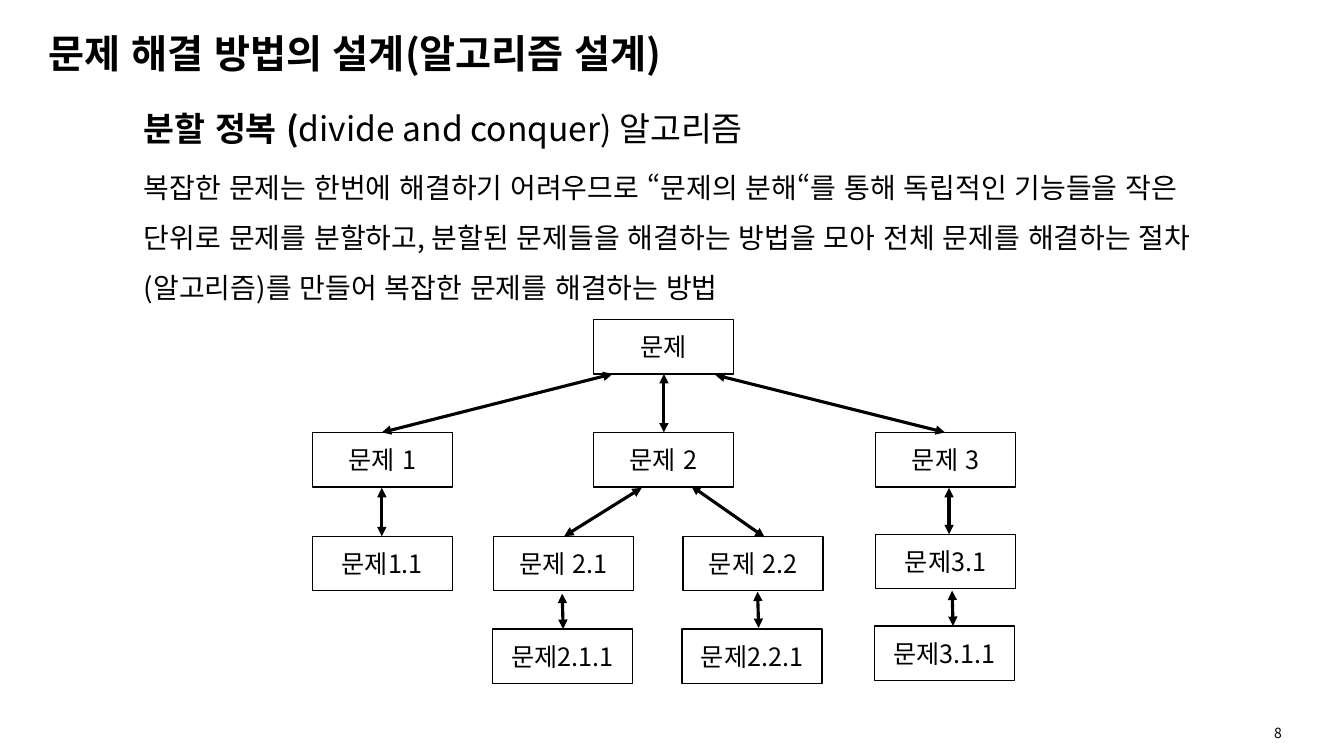
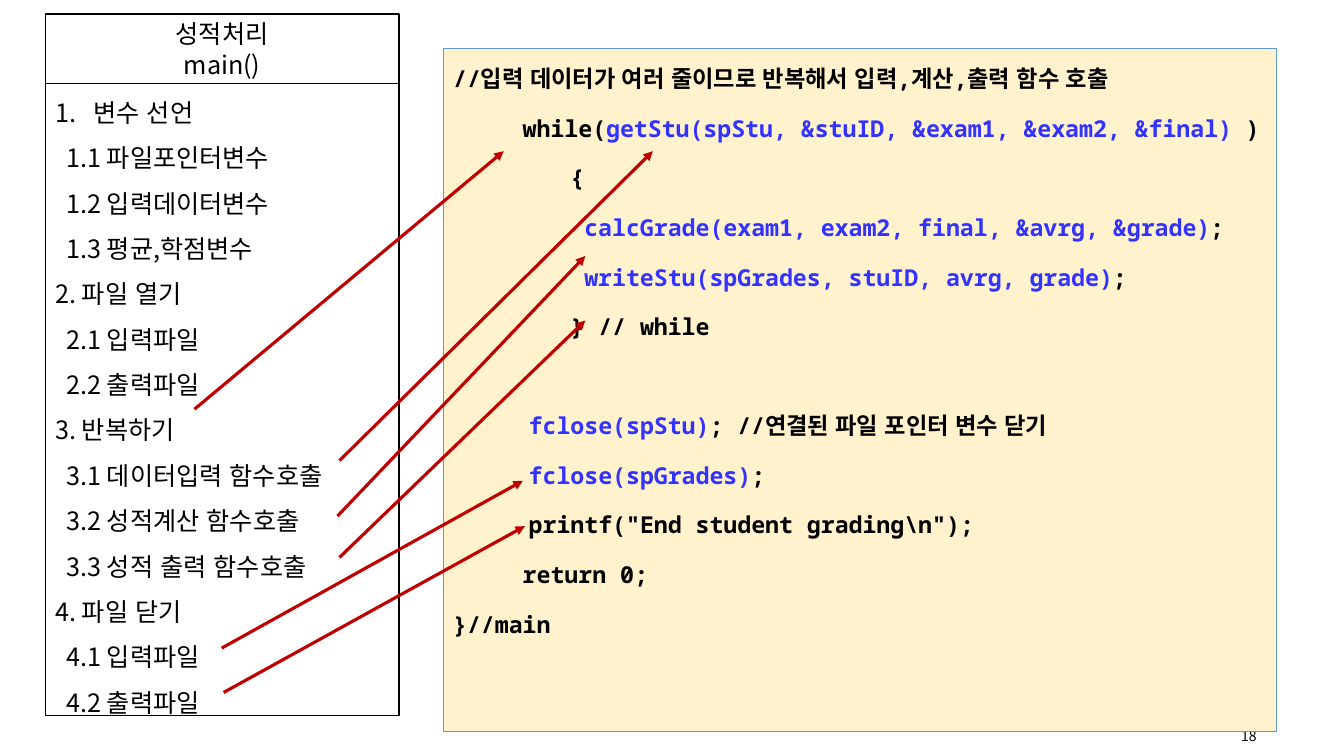
from pptx import Presentation
from pptx.dml.color import RGBColor
from pptx.enum.lang import MSO_LANGUAGE_ID
from pptx.enum.shapes import MSO_CONNECTOR, MSO_SHAPE
from pptx.enum.text import MSO_ANCHOR, PP_ALIGN
from pptx.oxml.ns import qn
from pptx.util import Pt
from lxml.etree import SubElement

PX = 9144
BLACK = RGBColor(0x00, 0x00, 0x00)
BLUE = RGBColor(0x33, 0x33, 0xFF)
RED = RGBColor(0xC0, 0x00, 0x00)
CREAM = RGBColor(0xFF, 0xF2, 0xCC)
EDGE = RGBColor(0x5B, 0x9B, 0xD5)
SANS = "Noto Sans CJK KR"
MONO = "Noto Sans Mono"
CENTER = {"align": PP_ALIGN.CENTER, "anchor": MSO_ANCHOR.MIDDLE}

NODES = [
    ("문제", 589, 317), ("문제 1", 310, 429), ("문제 2", 589, 429),
    ("문제 3", 869, 429), ("문제1.1", 310, 532), ("문제 2.1", 490, 532),
    ("문제 2.2", 678, 532), ("문제3.1", 869, 530), ("문제2.1.1", 489, 624),
    ("문제2.2.1", 677, 624), ("문제3.1.1", 868, 621),
]
LINKS = [
    (659, 371, 659, 429), (710, 372, 938, 429), (608, 371, 379, 429),
    (379, 484, 379, 532), (637, 484, 560, 532), (686, 482, 759, 533),
    (558, 589, 559, 624), (752, 587, 753, 623), (945, 586, 946, 621),
    (942, 484, 942, 530),
]
STEPS = [
    "1.1 파일포인터변수", "1.2 입력데이터변수", "1.3 평균,학점변수",
    "2. 파일 열기", "2.1 입력파일", "2.2 출력파일", "3. 반복하기",
    "3.1 데이터입력 함수호출", "3.2 성적계산 함수호출",
    "3.3 성적 출력 함수호출", "4. 파일 닫기", "4.1 입력파일", "4.2 출력파일",
]
LOOP = [
    (0, ["//입력 데이터가 여러 줄이므로 반복해서 입력,계산,출력 함수 호출"]),
    (0, ["     while(", "getStu(spStu, &stuID, &exam1, &exam2, &final) ",
         ")"]),
    (75, ["   {"]),
    (75, ["    ", "calcGrade(exam1, exam2, final, &avrg, &grade)", ";"]),
    (75, ["    ", "writeStu(spGrades, stuID, avrg, grade)", ";"]),
    (75, ["   } // while"]),
]
CLOSE = [
    (75, ["", "fclose(spStu)", "; //연결된 파일 포인터 변수 닫기"]),
    (75, ["", "fclose(spGrades)", ";"]),
    (75, ['printf("End student grading\\n");']),
    (0, ["     return 0;"]),
    (0, ["}//main"]),
]
CALLS = [
    (193, 406, 500, 150), (337, 457, 648, 150), (335, 512, 581, 254),
    (337, 553, 581, 318), (220, 643, 519, 477), (222, 687, 521, 522),
]


def write(shape, text, size=18, color=BLACK, bold=False, font=SANS,
          align=PP_ALIGN.LEFT, anchor=MSO_ANCHOR.TOP, lines=1.0, before=0,
          left=0, hang=0, number=False):
    """Add one paragraph of text, or of (text, changes) runs, to a shape."""
    frame = shape.text_frame
    frame.word_wrap = True
    frame.vertical_anchor = anchor
    para = frame.paragraphs[0]
    if para.runs:
        para = frame.add_paragraph()
        para.space_before = Pt(before)
    para.alignment = align
    para.line_spacing = lines
    props = para._p.get_or_add_pPr()
    props.set("marL", str(left * PX))
    props.set("indent", str(-hang * PX))
    if number:
        SubElement(props, qn("a:buFont"), typeface=SANS)
        SubElement(props, qn("a:buAutoNum"), type="arabicPeriod")
    for words, change in [(text, {})] if isinstance(text, str) else text:
        run = para.add_run()
        run.text = words
        run.font.size = Pt(size)
        run.font.bold = change.get("bold", bold)
        run.font.color.rgb = change.get("color", color)
        run.font.name = font
        run.font.language_id = MSO_LANGUAGE_ID.KOREAN
        SubElement(run._r.get_or_add_rPr(), qn("a:ea"), typeface=SANS)


def area(slide, x, y, w, h):
    """Add an empty text box."""
    return slide.shapes.add_textbox(x * PX, y * PX, w * PX, h * PX)


def box(slide, x, y, w, h, fill=None, edge=BLACK, width=1):
    """Add an outlined rectangle."""
    shape = slide.shapes.add_shape(
        MSO_SHAPE.RECTANGLE, x * PX, y * PX, w * PX, h * PX)
    shape.shadow.inherit = False
    if fill is None:
        shape.fill.background()
    else:
        shape.fill.solid()
        shape.fill.fore_color.rgb = fill
    shape.line.color.rgb = edge
    shape.line.width = Pt(width)
    return shape


def arrow(slide, ends, color, both=False):
    """Add a straight arrow with one or two heads."""
    link = slide.shapes.add_connector(
        MSO_CONNECTOR.STRAIGHT, *[end * PX for end in ends])
    link.line.color.rgb = color
    link.line.width = Pt(2.25)
    line = link.line._get_or_add_ln()
    for tag in ["a:headEnd", "a:tailEnd"] if both else ["a:tailEnd"]:
        SubElement(line, qn(tag), type="triangle")
    SubElement(link._element.spPr, qn("a:effectLst"))


def page(deck, number, x, y, w, h):
    """Add a blank slide with its page number."""
    slide = deck.slides.add_slide(deck.slide_layouts[6])
    write(area(slide, x, y, w, h), number, size=10, **CENTER)
    return slide


def code(shape, left, parts, before=7.5):
    """Write a line of code whose second part is a blue call."""
    runs = [(part, {"color": BLUE if i == 1 else BLACK})
            for i, part in enumerate(parts) if part]
    write(shape, runs, size=16.6, bold=True, font=MONO, lines=1.4,
          left=left, before=before)


def tree(deck):
    """Build the divide and conquer slide."""
    slide = page(deck, "8", 1218, 715, 101, 25)
    write(area(slide, 38, 26, 769, 59), "문제 해결 방법의 설계(알고리즘 설계)",
          size=28, bold=True, lines=0.9, anchor=MSO_ANCHOR.MIDDLE)
    body = area(slide, 95, 82, 1163, 237)
    form = {"left": 38, "lines": 1.5, "before": 3.7}
    write(body, [("분할 정복 (", {"bold": True}),
                 ("divide and conquer) 알고리즘", {})], size=24, **form)
    write(body, "복잡한 문제는 한번에 해결하기 어려우므로 “문제의 분해“를 통해 "
          "독립적인 기능들을 작은 단위로 문제를 분할하고, 분할된 문제들을 "
          "해결하는 방법을 모아 전체 문제를 해결하는 절차(알고리즘)를 만들어 "
          "복잡한 문제를 해결하는 방법", size=20, **form)
    for name, x, y in NODES:
        write(box(slide, x, y, 139, 54), name, **CENTER)
    for ends in LINKS:
        arrow(slide, ends, BLACK, both=True)


def grades(deck):
    """Build the slide that maps steps to code."""
    slide = page(deck, "18", 1155, 710, 169, 40)
    panel = box(slide, 440, 48, 827, 678, CREAM, EDGE, 0.75)
    for left, parts in LOOP:
        code(panel, left, parts)
    for i, (left, parts) in enumerate(CLOSE):
        code(panel, left, parts, before=7.5 if i else 43)
    head = box(slide, 45, 14, 351, 69)
    for line in ["성적처리", "main()"]:
        write(head, line, **CENTER)
    plan = box(slide, 45, 83, 351, 627)
    form = {"lines": 1.5, "anchor": MSO_ANCHOR.MIDDLE}
    write(plan, "변수 선언", left=38, hang=38, number=True, **form)
    for step in STEPS:
        write(plan, step, left=0 if step[2] == " " else 11, **form)
    for ends in CALLS:
        arrow(slide, ends, RED)


def main():
    """Build and save the deck."""
    deck = Presentation()
    deck.slide_width = 1334 * PX
    deck.slide_height = 750 * PX
    tree(deck)
    grades(deck)
    deck.save("out.pptx")


if __name__ == "__main__":
    main()
